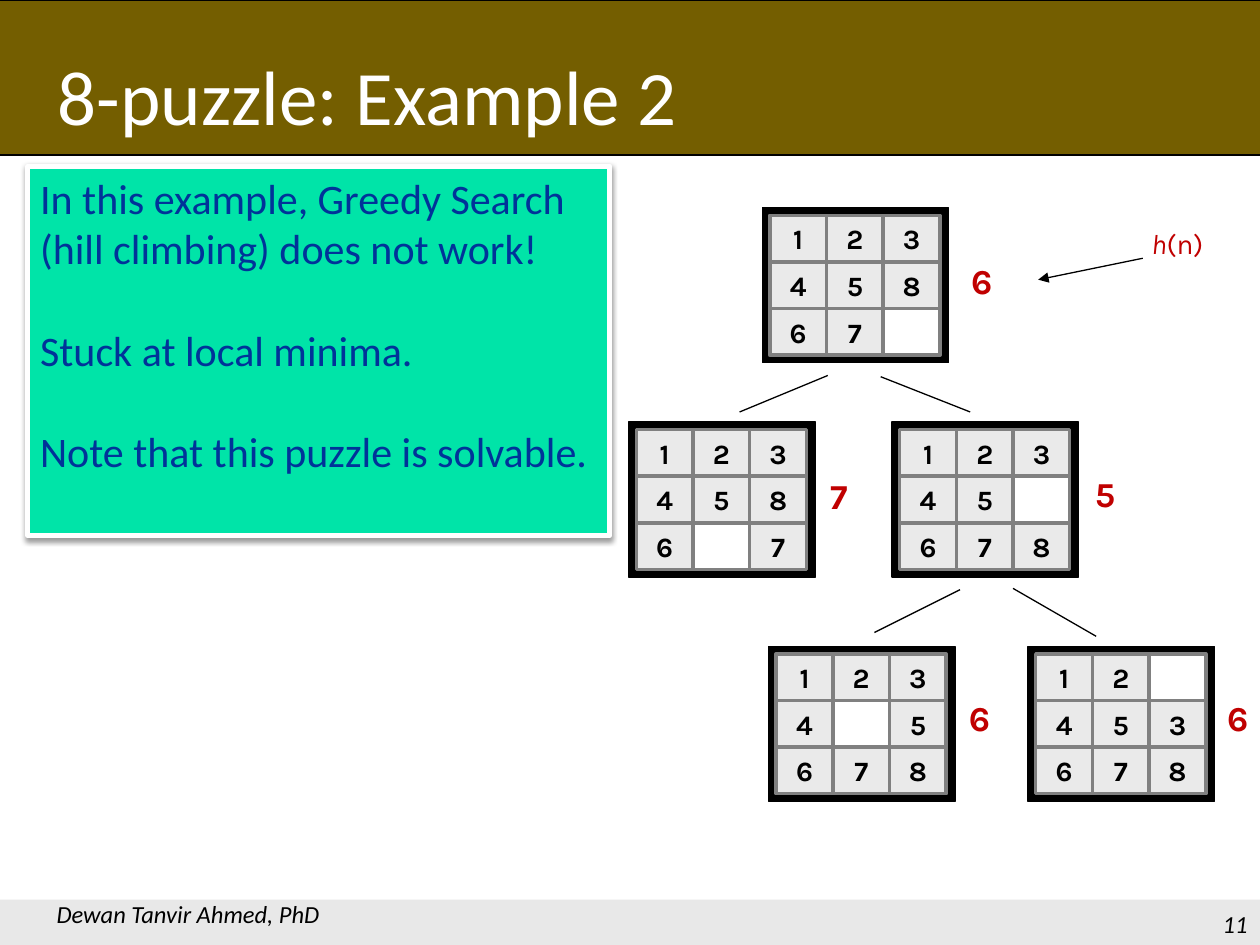
"""Build the slide on the 8-puzzle search tree where greedy search gets stuck."""
from lxml.etree import SubElement
from pptx import Presentation
from pptx.dml.color import RGBColor
from pptx.enum.shapes import MSO_CONNECTOR as Connector, MSO_SHAPE as Shape
from pptx.enum.text import MSO_ANCHOR as Anchor, PP_ALIGN as Align
from pptx.oxml import parse_xml
from pptx.oxml.ns import nsdecls, qn
from pptx.util import Inches, Pt

COLORS = {
    "black": "000000", "white": "FFFFFF", "header": "745E00", "footer": "E8E8E8",
    "note": "00E4A8", "note text": "003399", "tile": "EAEAEA", "grid": "808080",
    "score": "C00000",
}
NOTES = [
    "In this example, Greedy Search (hill climbing) does not work!",
    "Stuck at local minima.",
    "Note that this puzzle is solvable.",
]
BOARDS = [
    ((6.05, 1.65), ("123", "458", "67 ")),
    ((7.08, 3.35), ("123", "45 ", "678")),
    ((4.99, 3.35), ("123", "458", "6 7")),
    ((6.1, 5.13), ("123", "4 5", "678")),
    ((8.16, 5.13), ("12 ", "453", "678")),
]
SCORES = [("6", 7.61, 2.01), ("7", 6.49, 3.72), ("5", 8.59, 3.7),
          ("6", 7.59, 5.48), ("6", 9.64, 5.48)]
BRANCHES = [
    ((6.57, 2.98), (5.87, 3.27)), ((6.99, 2.99), (7.7, 3.27)),
    ((7.62, 4.68), (6.94, 5.02)), ((8.04, 4.67), (8.7, 5.05)),
]
HEURISTIC_ARROW = ((9.07, 2.05), (8.24, 2.22))
BOARD_SIZE = (1.48, 1.23)
TILE_WIDTH, TILE_HEIGHT, RIM = 0.45, 0.37, 0.06

TITLE = {"name": "Calibri", "size": Pt(44), "color": "white"}
NOTE = {"name": "Calibri", "size": Pt(24), "color": "note text"}
FOOTER = {"name": "Calibri", "size": Pt(14), "color": "black", "italic": True}
TILE = {"name": "Karla", "size": Pt(16), "color": "black", "bold": True}
SCORE = {"name": "Karla", "size": Pt(20), "color": "score", "bold": True}
HEURISTIC = {"name": "Karla", "size": Pt(16), "color": "score"}
NO_MARGINS = {f"margin_{side}": 0 for side in ("left", "right", "top", "bottom")}


def rgb(name):
    return RGBColor.from_string(COLORS[name])


def add_box(shapes, place, fill, line=None, width=0.75):
    box = shapes.add_shape(Shape.RECTANGLE, *map(Inches, place))
    box.shadow.inherit = False
    box.fill.solid()
    box.fill.fore_color.rgb = rgb(fill)
    if line:
        box.line.color.rgb = rgb(line)
        box.line.width = Pt(width)
    else:
        box.line.fill.background()
    return box


def write(box, paragraphs, align=Align.LEFT, gap=0, **frame_format):
    frame = box.text_frame
    for key, value in {"word_wrap": True, **frame_format}.items():
        setattr(frame, key, value)
    for index, spans in enumerate(paragraphs):
        para = frame.add_paragraph() if index else frame.paragraphs[0]
        para.alignment = align
        para.space_before = Pt(gap if index else 0)
        for text, style in spans:
            span = para.add_run()
            span.text = text
            for key, value in style.items():
                if key == "color":
                    span.font.color.rgb = rgb(value)
                else:
                    setattr(span.font, key, value)


def add_text(page, place, spans, **options):
    write(page.shapes.add_textbox(*map(Inches, place)), [spans], **options)


def add_line(page, start, end, arrow=False):
    line = page.shapes.add_connector(Connector.STRAIGHT, *map(Inches, start + end))
    line.line.color.rgb = rgb("black")
    line.line.width = Pt(0.75)
    properties = line._element.spPr
    if arrow:
        SubElement(properties.find(qn("a:ln")), qn("a:tailEnd"), type="triangle")
    SubElement(properties, qn("a:effectLst"))


def add_shadow(box):
    effects = box._element.spPr.find(qn("a:effectLst"))
    effects.append(parse_xml(
        f'<a:outerShdw {nsdecls("a")} blurRad="{Pt(3.1)}" dist="{Pt(1.6)}" '
        f'dir="5400000" rotWithShape="0"><a:srgbClr val="{COLORS["black"]}">'
        '<a:alpha val="38000"/></a:srgbClr></a:outerShdw>'))


def add_board(page, corner, rows):
    left, top = corner
    shapes = page.shapes.add_group_shape().shapes
    add_box(shapes, corner + BOARD_SIZE, "black", "black")
    for row, digits in enumerate(rows):
        for column, digit in enumerate(digits):
            place = (left + RIM + column * TILE_WIDTH, top + RIM + row * TILE_HEIGHT,
                     TILE_WIDTH, TILE_HEIGHT)
            blank = digit == " "
            tile = add_box(shapes, place, "white" if blank else "tile", "grid", 2)
            if not blank:
                write(tile, [[(digit, TILE)]], Align.CENTER,
                      vertical_anchor=Anchor.MIDDLE, **NO_MARGINS)


def main():
    deck = Presentation()
    deck.slide_width, deck.slide_height = Inches(10), Inches(7.5)
    page = deck.slides.add_slide(deck.slide_layouts[6])

    add_box(page.shapes, (0, 7.14, 10, 0.36), "footer")
    add_box(page.shapes, (-0.2, 0, 10.39, 1.23), "header", "black")
    note = add_box(page.shapes, (0.22, 1.32, 4.62, 2.93), "note", "white", 3)
    add_shadow(note)
    write(note, [[(text, NOTE)] for text in NOTES], gap=29, vertical_anchor=Anchor.TOP)

    for corner, rows in BOARDS:
        add_board(page, corner, rows)
    for start, end in BRANCHES:
        add_line(page, start, end)
    for score, left, top in SCORES:
        add_text(page, (left, top, 0.38, 0.44), [(score, SCORE)], word_wrap=False)
    add_text(page, (9.04, 1.75, 0.62, 0.37),
             [("h", {**HEURISTIC, "italic": True}), ("(n)", HEURISTIC)], word_wrap=False)
    add_line(page, *HEURISTIC_ARROW, arrow=True)

    add_text(page, (0.36, 0.31, 8.61, 0.88), [("8-puzzle: Example 2", TITLE)],
             vertical_anchor=Anchor.MIDDLE)
    add_text(page, (0.35, 6.92, 8.42, 0.5), [("Dewan Tanvir Ahmed, PhD", FOOTER)],
             vertical_anchor=Anchor.BOTTOM)
    add_text(page, (7.92, 7, 2.08, 0.5), [("11", FOOTER)], align=Align.RIGHT,
             vertical_anchor=Anchor.BOTTOM)
    deck.save("out.pptx")


if __name__ == "__main__":
    main()
